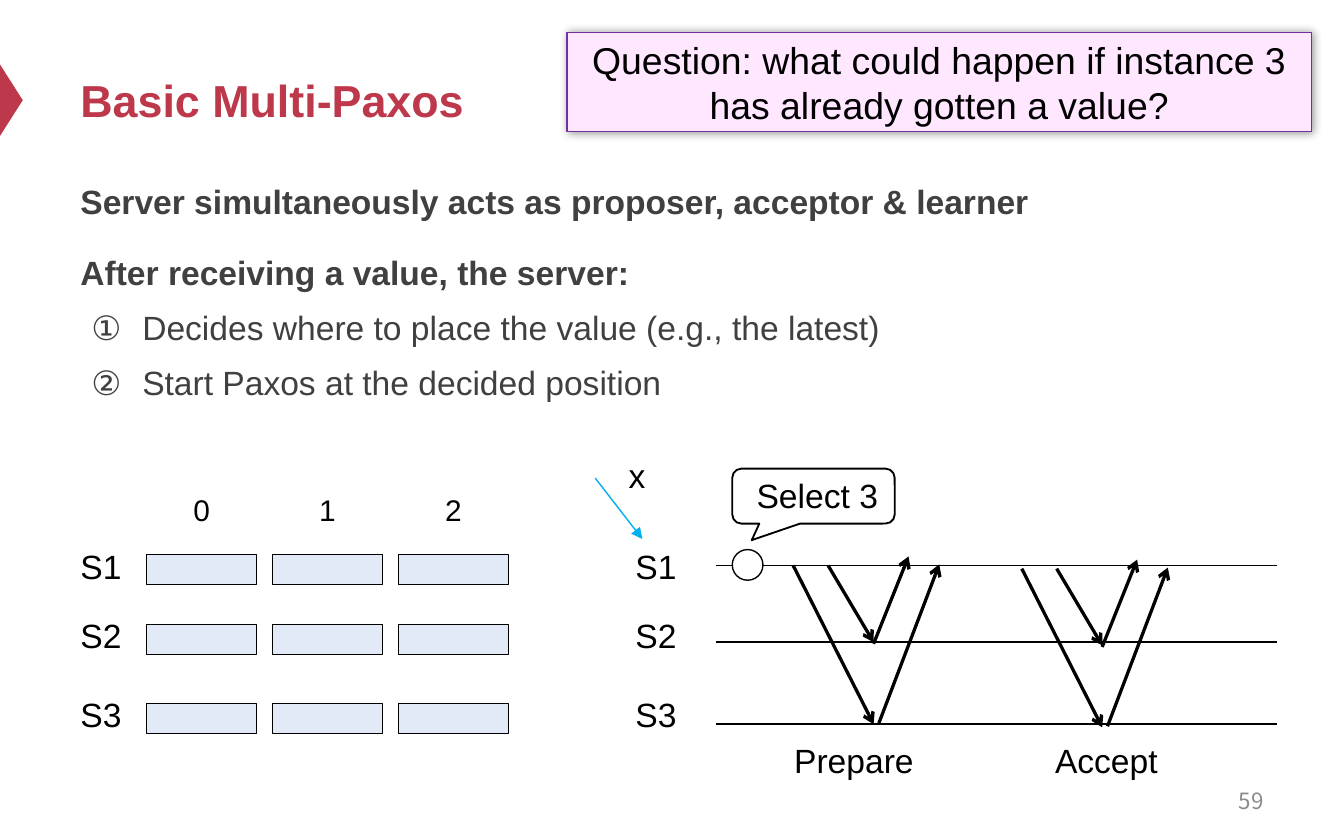
"""Build the Basic Multi-Paxos slide with its log slots and message diagram."""
from lxml.etree import SubElement
from pptx import Presentation
from pptx.dml.color import RGBColor
from pptx.enum.shapes import MSO_CONNECTOR, MSO_SHAPE
from pptx.enum.text import MSO_ANCHOR as Anchor, PP_ALIGN as Align
from pptx.oxml.ns import qn
from pptx.util import Cm, Pt

RED = RGBColor(0xBE, 0x38, 0x4B)
GREY = RGBColor(0x40, 0x40, 0x40)
PALE_GREY = RGBColor(0x8C, 0x8C, 0x8C)
BLACK = RGBColor(0, 0, 0)
WHITE = RGBColor(0xFF, 0xFF, 0xFF)
SLOT_BLUE = RGBColor(0xE2, 0xEA, 0xF7)
SKY = RGBColor(0x00, 0xB0, 0xF0)
PINK = RGBColor(0xFF, 0xE7, 0xFF)
PURPLE = RGBColor(0x70, 0x30, 0xA0)

TITLE = "Basic Multi-Paxos"
QUESTION = "Question: what could happen if instance 3 has already gotten a value?"
BODY = [
    ("Server simultaneously acts as proposer, acceptor & learner", False),
    ("After receiving a value, the server:", False),
    ("Decides where to place the value (e.g., the latest)", True),
    ("Start Paxos at the decided position", True),
]
PAGE_NUMBER = "59"
SLOTS = ["0", "1", "2"]
SERVERS = [("S1", 10.19, 10.69), ("S2", 11.51, 12.14), ("S3", 13, 13.69)]
SLOT_LEFT, SLOT_PITCH, SLOT_WIDTH, SLOT_HEIGHT = 2.77, 2.38, 2.08, 0.56
PHASES = [("Prepare", 14.76, 0, 0), ("Accept", 19.69, 4.32, 0.06)]
MESSAGES = [
    (14.99, 10.69, 16.51, 13.69),
    (15.65, 10.69, 16.51, 12.14),
    (16.51, 12.17, 17.17, 10.52),
    (16.61, 13.67, 17.75, 10.67),
]


def style(para, size, color, bold=False, font="Arial"):
    for span in para.runs:
        span.font.size = Pt(size)
        span.font.name = font
        span.font.bold = bold
        span.font.color.rgb = color


def add_text(page, text, left, top, width, height, size=18, color=BLACK,
             bold=False, font="Arial", align=Align.LEFT, anchor=Anchor.TOP):
    box = page.shapes.add_textbox(Cm(left), Cm(top), Cm(width), Cm(height))
    frame = box.text_frame
    frame.word_wrap = True
    frame.vertical_anchor = anchor
    frame.text = text
    para = frame.paragraphs[0]
    para.alignment = align
    style(para, size, color, bold, font)


def add_shape(page, kind, left, top, width, height, fill, line, weight):
    shape = page.shapes.add_shape(kind, Cm(left), Cm(top), Cm(width), Cm(height))
    shape.shadow.inherit = False
    if fill is None:
        shape.fill.background()
    else:
        shape.fill.solid()
        shape.fill.fore_color.rgb = fill
    if line is None:
        shape.line.fill.background()
    else:
        shape.line.color.rgb = line
        shape.line.width = Pt(weight)
    return shape


def add_line(page, x1, y1, x2, y2, color=BLACK, weight=0.75, head=None):
    line = page.shapes.add_connector(
        MSO_CONNECTOR.STRAIGHT, Cm(x1), Cm(y1), Cm(x2), Cm(y2))
    line.line.color.rgb = color
    line.line.width = Pt(weight)
    if head:
        SubElement(line.line._get_or_add_ln(), qn("a:tailEnd"), type=head)
    SubElement(line._element.spPr, qn("a:effectLst"))


def add_body(page):
    box = page.shapes.add_textbox(Cm(1.27), Cm(3.15), Cm(22.86), Cm(4.8))
    frame = box.text_frame
    frame.word_wrap = True
    for index, (text, numbered) in enumerate(BODY):
        para = frame.add_paragraph() if index else frame.paragraphs[0]
        para.text = text
        para.line_spacing = 1.2
        if index:
            para.space_before = Pt(3.6 if numbered else 12)
        if numbered:
            props = para._p.get_or_add_pPr()
            props.set("marL", str(Cm(1.17)))
            props.set("indent", str(-Cm(0.96)))
            SubElement(props, qn("a:buFont"), typeface="Arial")
            SubElement(props, qn("a:buAutoNum"), type="circleNumDbPlain")
        style(para, 18, GREY, bold=not numbered)


def add_question(page):
    box = add_shape(page, MSO_SHAPE.RECTANGLE, 10.72, 0.61, 14.07, 1.88,
                    PINK, PURPLE, 0.75)
    effects = box._element.spPr.find(qn("a:effectLst"))
    shadow = SubElement(effects, qn("a:outerShdw"), blurRad=str(Pt(5)),
                        dist="0", dir="0", algn="ctr", rotWithShape="0")
    tint = SubElement(shadow, qn("a:srgbClr"), val=str(BLACK))
    SubElement(tint, qn("a:alpha"), val="40000")
    frame = box.text_frame
    frame.word_wrap = True
    frame.margin_top = frame.margin_bottom = Cm(0.08)
    frame.vertical_anchor = Anchor.MIDDLE
    frame.text = QUESTION
    frame.paragraphs[0].alignment = Align.CENTER
    style(frame.paragraphs[0], 20, BLACK)


def add_log(page):
    for column, number in enumerate(SLOTS):
        left = SLOT_LEFT + column * SLOT_PITCH
        add_text(page, number, left, 9.17, SLOT_WIDTH, 0.94, size=16,
                 align=Align.CENTER)
        for _, top, _ in SERVERS:
            add_shape(page, MSO_SHAPE.RECTANGLE, left, top + 0.3,
                      SLOT_WIDTH, SLOT_HEIGHT, SLOT_BLUE, BLACK, 0.5)
    for name, top, _ in SERVERS:
        add_text(page, name, 1.27, top, 1.75, 1.02)


def add_timeline(page):
    for name, top, level in SERVERS:
        add_text(page, name, 11.76, top, 1.75, 1.02)
        add_line(page, 13.54, level, 24.13, level)
    add_line(page, 11.25, 9.04, 12.14, 10.19, SKY, head="triangle")
    add_text(page, "x", 11.63, 8.48, 1.02, 1.02)
    add_shape(page, MSO_SHAPE.OVAL, 13.84, 10.39, 0.58, 0.58, WHITE, BLACK, 0.75)
    callout = add_shape(page, MSO_SHAPE.ROUNDED_RECTANGULAR_CALLOUT,
                        13.84, 8.86, 3.07, 1.04, None, BLACK, 1)
    callout.adjustments[0] = -0.38
    callout.adjustments[1] = 0.8
    add_text(page, "Select 3", 14.05, 8.86, 3.12, 1.02)
    for name, left, shift, drop in PHASES:
        for x1, y1, x2, y2 in MESSAGES:
            add_line(page, x1 + shift, y1 + drop, x2 + shift, y2 + drop,
                     weight=1.75, head="arrow")
        add_text(page, name, left, 13.87, 2.92, 1.02)


def main():
    deck = Presentation()
    deck.slide_width, deck.slide_height = Cm(25.4), Cm(15.88)
    page = deck.slides.add_slide(deck.slide_layouts[6])
    marker = add_shape(page, MSO_SHAPE.ISOSCELES_TRIANGLE, -0.46, 1.68,
                       1.35, 0.43, RED, None, 0)
    marker.rotation = 90
    add_text(page, TITLE, 1.27, 0.64, 22.86, 2.49, size=24, color=RED,
             bold=True, anchor=Anchor.MIDDLE)
    add_body(page)
    add_text(page, PAGE_NUMBER, 18.21, 14.71, 5.92, 0.84, size=12,
             color=PALE_GREY, font="Noto Sans CJK SC", align=Align.RIGHT,
             anchor=Anchor.MIDDLE)
    add_log(page)
    add_timeline(page)
    add_question(page)
    deck.save("out.pptx")


if __name__ == "__main__":
    main()
